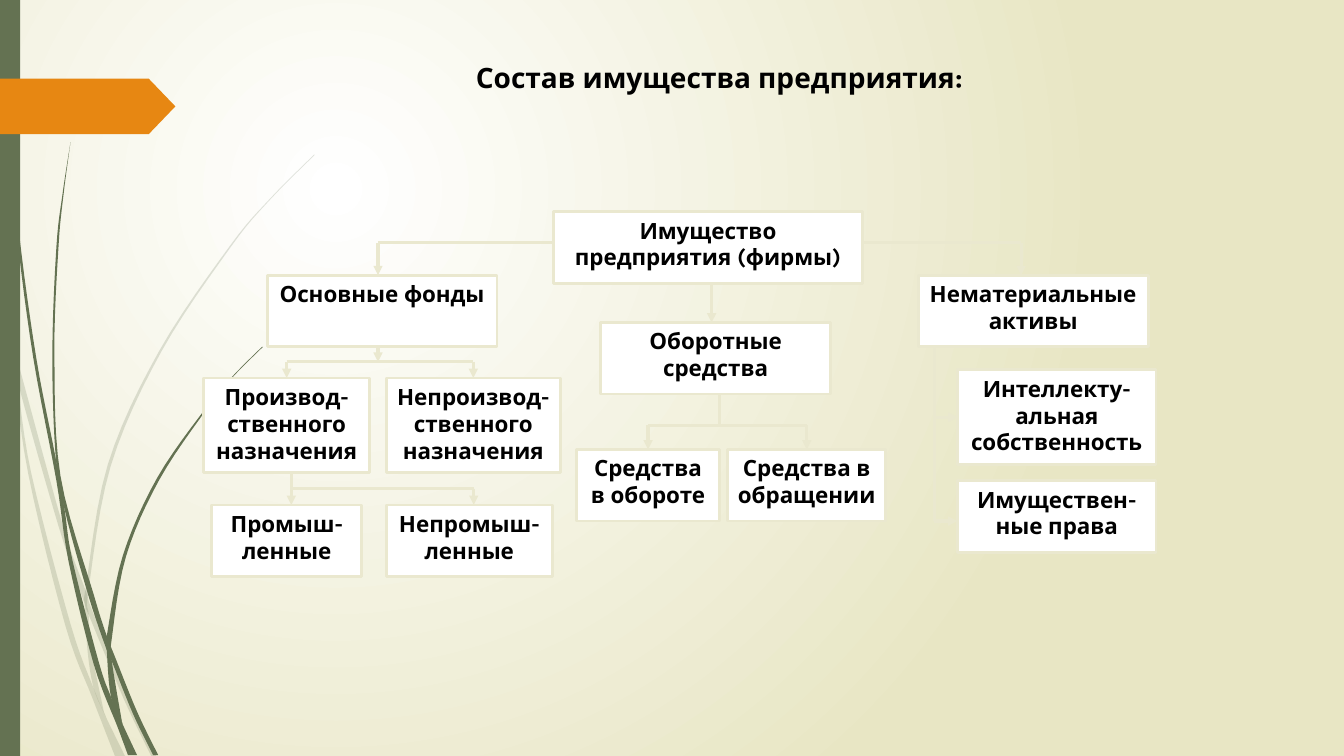
from dataclasses import dataclass

from lxml import etree
from pptx import Presentation
from pptx.dml.color import RGBColor
from pptx.enum import shapes, text
from pptx.oxml.ns import qn
from pptx.util import Pt

COLORS = {"white": "FFFFFF", "black": "000000", "sand": "E8E6C4",
          "border": "EAE8CF", "green": "647252", "orange": "E78712"}
FONT = "Karla"
LOW, TALL = 51.1, 67.7  # heights of boxes with two and three lines


@dataclass(frozen=True)
class Box:
    name: str
    label: str
    left: float
    top: float
    width: float
    height: float = LOW


@dataclass(frozen=True)
class Line:
    start: tuple[float, float]
    end: tuple[float, float]
    arrow: bool = False
    target: str = ""
    side: int = 0


@dataclass(frozen=True)
class Blade:
    """A grass blade: its left edge runs down, its right edge runs back up."""
    left_edge: list[tuple[float, float]]
    right_edge: list[tuple[float, float]]
    opacity: int = 100


BLADES = [
    Blade([(0, 215.3), (7.2, 247.7), (20.2, 338.4), (46.8, 447.1), (66.2, 499), (82.1, 540)],
          [(89.3, 540), (75.6, 511.9), (67, 491.8), (50.4, 445.7), (22.3, 337.7),
           (12.2, 270.7), (6.5, 231.8), (0, 203)], 20),
    Blade([(10.1, 248.4), (12.2, 270.7), (41.8, 375.8), (60.5, 431.3), (63.4, 439.2),
           (88.6, 499.7), (108, 540)],
          [(111.6, 540), (91.4, 498.2), (66.2, 437), (61.2, 421.9), (44.6, 374.4),
           (10.1, 248.4)], 20),
    Blade([(224.6, 110.2), (193, 141.8), (164.2, 175.7), (113.8, 250.6), (77, 331.9),
           (61.2, 420.5), (60.5, 431.3), (62.6, 465.1), (67, 491.8), (75.6, 511.9)],
          [(74.2, 508.3), (65.5, 465.1), (63.4, 439.2), (63.4, 420.5), (79.2, 332.6),
           (115.2, 251.3), (164.9, 176.4), (193, 142.6), (224.6, 110.9)], 20),
    Blade([(2.2, 0), (5, 79.2), (12.2, 167.8), (23.8, 255.6), (40.3, 343.4), (49, 401),
           (67, 474.5), (84.2, 519.8), (91.4, 539.3)],
          [(97.9, 539.3), (87.8, 517.7), (79.2, 497.5), (70.6, 473), (51.8, 400.3),
           (46.1, 363.6), (39.6, 326.2), (25.9, 255.6), (13.7, 167), (5.8, 78.5), (2.9, 0)]),
    Blade([(50.4, 101.5), (44.6, 139), (40.3, 176.4), (37.4, 251.3), (39.6, 323.3),
           (46.1, 363.6), (63.4, 426.2), (76.3, 464.4), (79.9, 472.3), (95, 509.8),
           (109.4, 539.3)],
          [(113, 539.3), (97.9, 508.3), (81.4, 467.3), (76.3, 454.3), (67, 424.8),
           (43.2, 339.8), (38.9, 251.3), (41.8, 176.4), (45.4, 139), (50.4, 101.5)]),
    Blade([(187.2, 247.7), (166.3, 268.6), (146.9, 291.6), (112.3, 341.3), (87.8, 396.7),
           (76.3, 454.3), (76.3, 464.4), (79.2, 497.5), (87.8, 517.7)],
          [(87.1, 515.5), (79.9, 472.3), (79.9, 455.8), (90, 397.4), (113.8, 342.7),
           (147.6, 292.3), (166.3, 269.3), (187.9, 247.7)]),
]
BOXES = [
    Box("property", "Имущество предприятия (фирмы)", 395.3, 151.2, 221),
    Box("fixed", "Основные фонды", 190.8, 196.6, 164.2),
    Box("working", "Оборотные средства", 429.1, 230.4, 164.2),
    Box("intangible", "Нематериальные активы", 655.9, 196.6, 164.2),
    Box("production", "Производ-ственного назначения", 145.4, 270, 118.8, TALL),
    Box("nonproduction", "Непроизвод-ственного назначения", 275.8, 270, 124.6, TALL),
    Box("industrial", "Промыш-ленные", 151.2, 360.7, 107.3),
    Box("nonindustrial", "Непромыш-ленные", 275.8, 360.7, 118.8),
    Box("in use", "Средства в обороте", 411.8, 321.1, 102.2),
    Box("circulation", "Средства в обращении", 519.8, 321.1, 113),
    Box("intellectual", "Интеллекту-альная собственность", 684, 264.2, 141.8, TALL),
    Box("rights", "Имуществен-ные права", 684, 343.4, 141.8),
]
LINES = [
    Line((395.3, 173.5), (270, 173.5)),
    Line((270, 173.5), (270, 196.6), True),
    Line((616.3, 173.5), (729.4, 173.5)),
    Line((729.4, 173.5), (729.4, 196.6), True),
    Line((508.3, 202.3), (508.3, 230.4), True),
    Line((270, 247.7), (270, 258.5), True),
    Line((204.8, 258.5), (338.1, 258.5)),
    Line((204.8, 258.5), (204.8, 270), True, "production"),
    Line((338.1, 258.5), (338.1, 270), True, "nonproduction"),
    Line((208.1, 337.7), (208.1, 360.7), True),
    Line((208.1, 349.2), (338.4, 349.2)),
    Line((338.4, 349.2), (338.4, 360.7), True),
    Line((514.1, 281.5), (514.1, 303.8)),
    Line((462.9, 303.8), (576.3, 303.8)),
    Line((462.9, 303.8), (462.9, 321.1), True, "in use"),
    Line((576.3, 303.8), (576.3, 321.1), True, "circulation"),
    Line((667.4, 247.7), (667.4, 372.2)),
    Line((667.4, 298.05), (684, 298.05), True, "intellectual", 1),
    Line((667.4, 372.2), (684, 372.2), True),
]


def color(name: str) -> RGBColor:
    return RGBColor.from_string(COLORS[name])


def write(shape, content: str, *, size: float, anchor=text.MSO_ANCHOR.TOP) -> None:
    frame = shape.text_frame
    frame.word_wrap = True
    frame.auto_size = text.MSO_AUTO_SIZE.NONE
    frame.vertical_anchor = anchor
    paragraph = frame.paragraphs[0]
    paragraph.alignment = text.PP_ALIGN.CENTER
    run = paragraph.add_run()
    run.text = content
    run.font.name, run.font.size, run.font.bold = FONT, Pt(size), True
    run.font.color.rgb = color("black")


def paint(shape, fill: str, border: str = "") -> None:
    shape.shadow.inherit = False
    shape.fill.solid()
    shape.fill.fore_color.rgb = color(fill)
    if border:
        shape.line.color.rgb = color(border)
        shape.line.width = Pt(2)
    else:
        shape.line.fill.background()


def add_preset(slide, kind, left: float, top: float, width: float, height: float):
    return slide.shapes.add_shape(kind, Pt(left), Pt(top), Pt(width), Pt(height))


def smooth_edge(points: list[tuple[float, float]], steps: int = 6) -> list[tuple[float, float]]:
    """Catmull-Rom curve through the points, as a list of short steps."""
    padded = [points[0], *points, points[-1]]
    curve = [points[0]]
    for a, b, c, d in zip(padded, padded[1:], padded[2:], padded[3:]):
        for step in range(1, steps + 1):
            t = step / steps
            curve.append(tuple(
                q + t / 2 * (r - p + t * (2 * p - 5 * q + 4 * r - s + t * (3 * (q - r) + s - p)))
                for p, q, r, s in zip(a, b, c, d)))
    return curve


def draw_blade(slide, blade: Blade) -> None:
    outline = smooth_edge(blade.left_edge) + smooth_edge(blade.right_edge)
    (x, y), *rest = [(Pt(x), Pt(y)) for x, y in outline]
    builder = slide.shapes.build_freeform(x, y)
    builder.add_line_segments(rest, close=True)
    shape = builder.convert_to_shape()
    paint(shape, "green")
    if blade.opacity < 100:
        tone = shape.fill._xPr.find(".//" + qn("a:srgbClr"))
        etree.SubElement(tone, qn("a:alpha"), val=str(blade.opacity * 1000))


def draw_box(slide, box: Box):
    shape = add_preset(slide, shapes.MSO_SHAPE.RECTANGLE,
                       box.left, box.top, box.width, box.height)
    paint(shape, "white", "border")
    write(shape, box.label, size=16)
    return shape


def draw_line(slide, line: Line, boxes: dict) -> None:
    connector = slide.shapes.add_connector(
        shapes.MSO_CONNECTOR.STRAIGHT, *map(Pt, line.start + line.end))
    connector.line.color.rgb = color("border")
    connector.line.width = Pt(2.25)
    if line.arrow:
        etree.SubElement(connector.line._get_or_add_ln(), qn("a:tailEnd"), type="triangle")
    etree.SubElement(connector._element.spPr, qn("a:effectLst"))
    if line.target:
        connector.end_connect(boxes[line.target], line.side)


def set_background(slide) -> None:
    """Radial gradient, white in the centre and sand outside."""
    fill = slide.background.fill
    fill.gradient()
    for stop, name in zip(fill.gradient_stops, ("white", "sand")):
        stop.color.rgb = color(name)
    gradient = slide.element.find(".//" + qn("a:gradFill"))
    gradient.remove(gradient.find(qn("a:lin")))
    circle = etree.SubElement(gradient, qn("a:path"), path="circle")
    etree.SubElement(circle, qn("a:fillToRect"), l="50000", t="50000", r="100000", b="100000")


def main() -> None:
    presentation = Presentation()
    presentation.slide_width, presentation.slide_height = Pt(960), Pt(540)
    slide = presentation.slides.add_slide(presentation.slide_layouts[5])
    set_background(slide)
    for blade in BLADES:
        draw_blade(slide, blade)
    paint(add_preset(slide, shapes.MSO_SHAPE.RECTANGLE, 0, 0, 14.4, 540), "green")
    pointer = add_preset(slide, shapes.MSO_SHAPE.PENTAGON, 0, 56.2, 125.3, 39.6)
    pointer.adjustments[0] = 0.48
    paint(pointer, "orange")

    title = slide.shapes.title
    title.left, title.top, title.width, title.height = map(Pt, (224.6, 39.6, 578.2, 31.7))
    write(title, "Состав имущества предприятия:", size=20, anchor=text.MSO_ANCHOR.MIDDLE)

    boxes = {box.name: draw_box(slide, box) for box in BOXES}
    for line in LINES:
        draw_line(slide, line, boxes)
    presentation.save("out.pptx")


if __name__ == "__main__":
    main()
